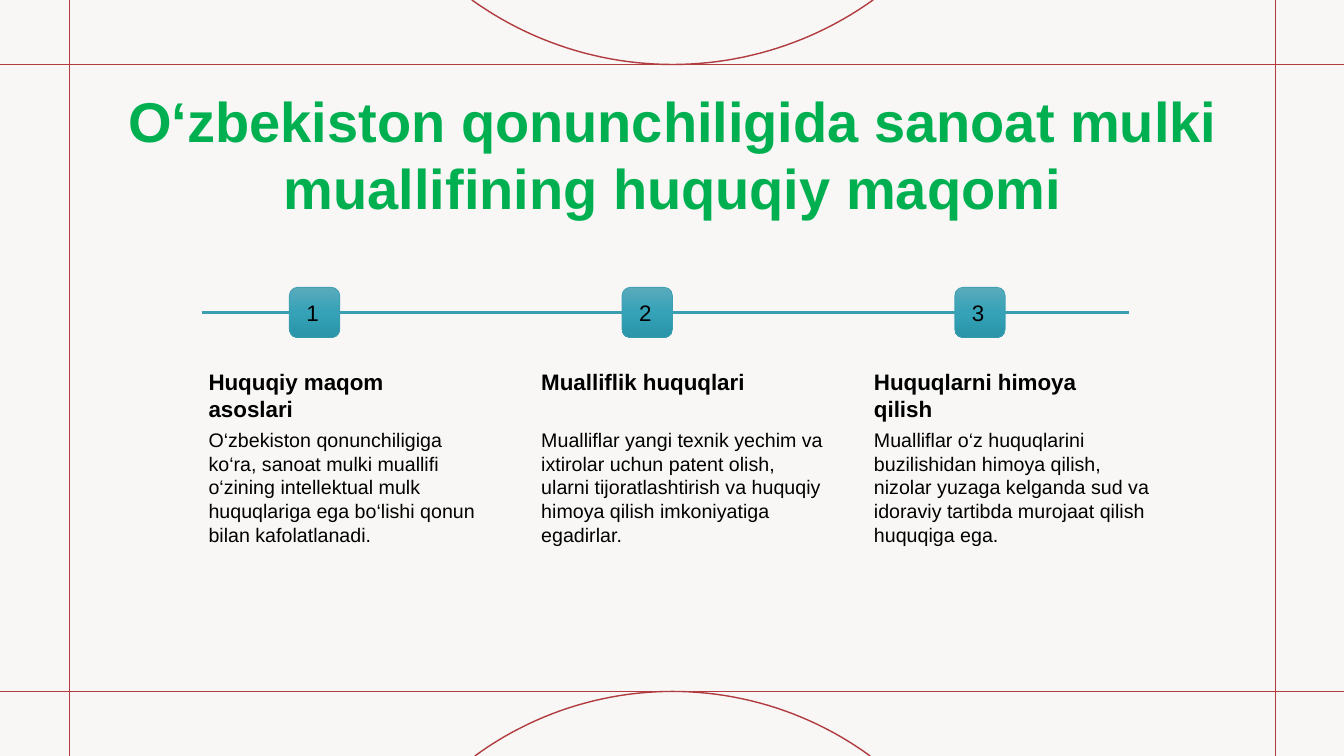
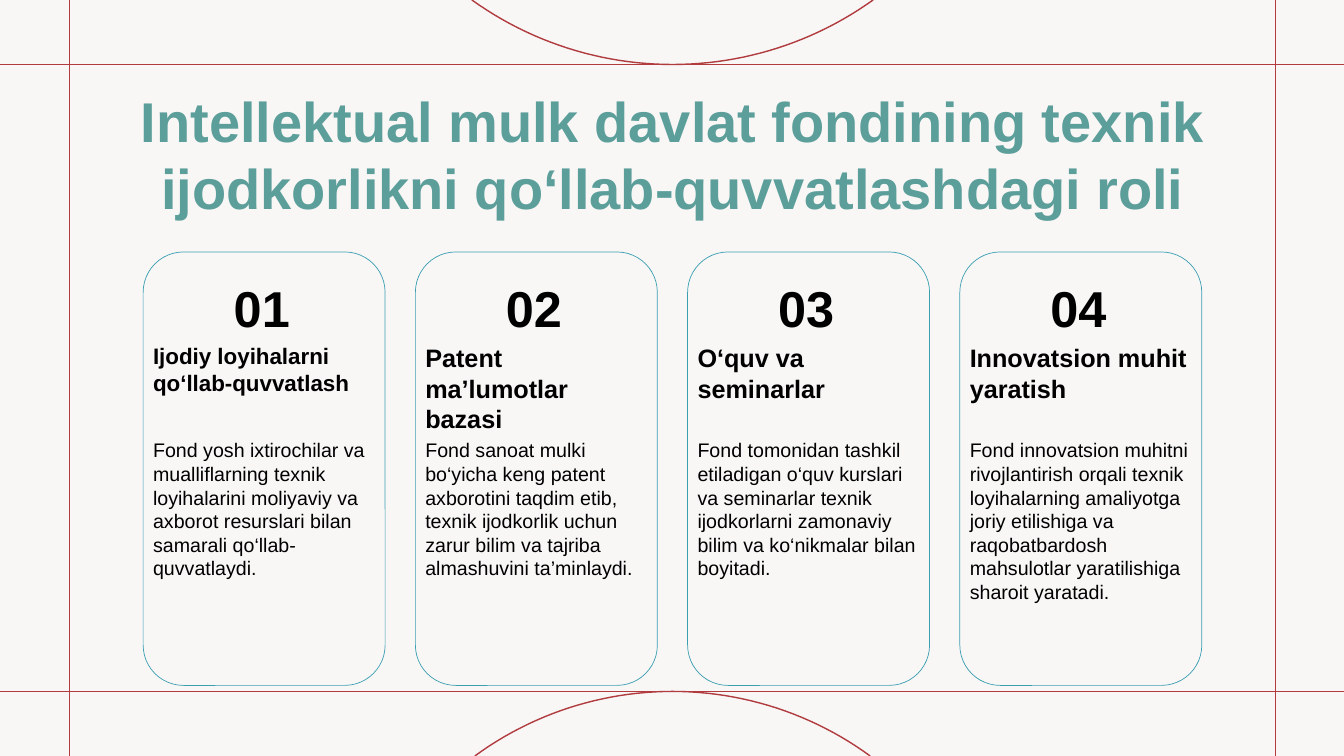
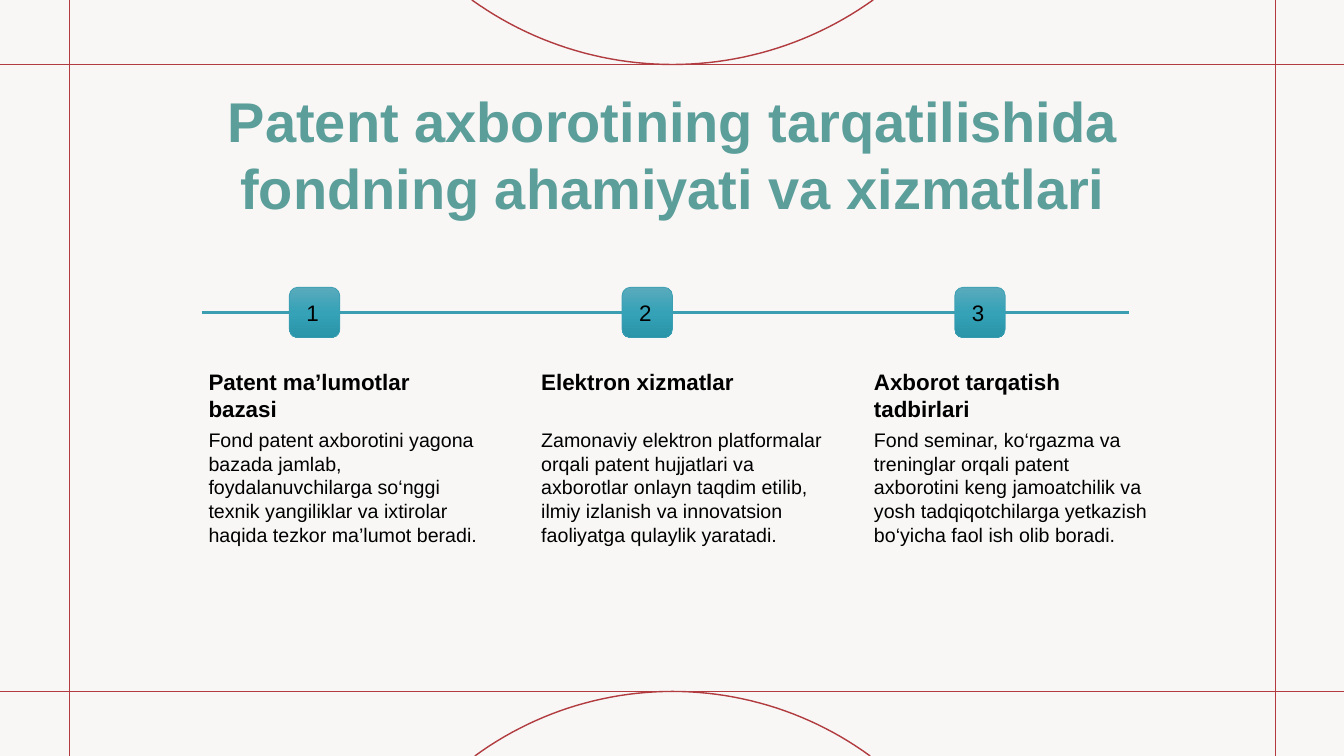
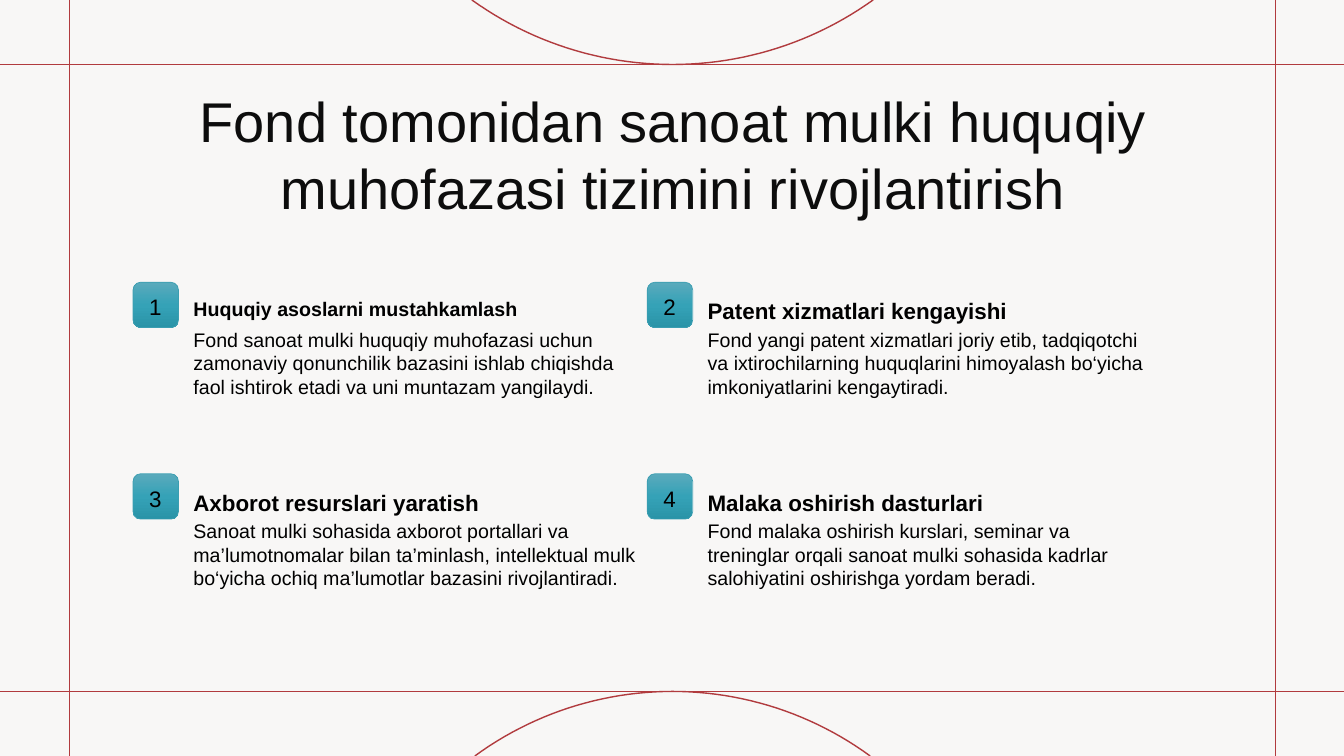
from copy import deepcopy
from math import asin, cos, sin

from pptx import Presentation
from pptx.dml.color import RGBColor
from pptx.enum.shapes import MSO_CONNECTOR, MSO_SHAPE
from pptx.enum.text import MSO_ANCHOR, MSO_AUTO_SIZE, PP_ALIGN
from pptx.oxml.ns import qn
from pptx.util import Pt
from lxml import etree

PX = 9144  # 100 px to the inch
WIDE, HIGH = 1333, 750
ROUND = MSO_SHAPE.ROUNDED_RECTANGLE
STRAIGHT = MSO_CONNECTOR.STRAIGHT
GROW, FIXED = MSO_AUTO_SIZE.SHAPE_TO_FIT_TEXT, MSO_AUTO_SIZE.NONE
CENTER, MIDDLE = PP_ALIGN.CENTER, MSO_ANCHOR.MIDDLE

PAPER, RED, TEAL = "F8F7F6", "B13B3E", "3B9EB1"
GREEN, SAGE, INK, BLACK = "00B050", "5B9E9A", "0D0D0D", "000000"
SHADES = [(0, "5AAABC"), (0.5, "35A2B7"), (1, "2A94A8")]

LABEL = {"size": Pt(16)}
HEAD = {"size": Pt(16), "bold": True}
SMALL = {"size": Pt(14), "bold": True}
LARGE = {"size": Pt(18), "bold": True}
BODY = {"size": Pt(14)}
COUNT = {"size": Pt(36), "bold": True}


def color(code):
    return RGBColor.from_string(code)


def scale(*sizes):
    return [round(size * PX) for size in sizes]


class Deck:
    def __init__(self):
        self.prs = Presentation()
        self.prs.slide_width, self.prs.slide_height = scale(WIDE, HIGH)
        self.layout = self.prs.slide_layouts[5]
        fill = self.layout.background.fill
        fill.solid()
        fill.fore_color.rgb = color(PAPER)
        title = self.layout.placeholders[0]
        title.left, title.top, title.width, title.height = scale(92, 80, 1150, 145)
        self.slide = None

    def font(self, para, look, shade=BLACK):
        for key, value in {"name": "Arial", **look}.items():
            setattr(para.font, key, value)
        para.font.color.rgb = color(shade)

    def start(self, text, shade, bold=True):
        """Add a slide and fill its title."""
        self.slide = self.prs.slides.add_slide(self.layout)
        frame = self.slide.shapes.title.text_frame
        frame.text = text
        frame.auto_size, frame.vertical_anchor = FIXED, MIDDLE
        para = frame.paragraphs[0]
        para.alignment = CENTER
        self.font(para, {"size": Pt(40), "bold": bold}, shade)

    def text(self, x, y, w, h, words, look):
        frame = self.slide.shapes.add_textbox(*scale(x, y, w, h)).text_frame
        frame.word_wrap = True
        frame.auto_size = GROW
        frame.text = words
        self.font(frame.paragraphs[0], look)

    def stroke(self, shape, shade, width):
        shape.line.color.rgb = color(shade)
        shape.line.width = Pt(width)

    def line(self, x1, y1, x2, y2, shade, width):
        rule = self.slide.shapes.add_connector(STRAIGHT, *scale(x1, y1, x2, y2))
        self.stroke(rule, shade, width)
        etree.SubElement(rule.element.spPr, qn("a:effectLst"))
        return rule

    def box(self, x, y, w, h):
        """Add an unfilled rounded box with a thin teal outline."""
        shape = self.slide.shapes.add_shape(ROUND, *scale(x, y, w, h))
        shape.shadow.inherit = False
        shape.fill.background()
        self.stroke(shape, TEAL, 0.5)
        return shape

    def badge(self, x, y, side, num):
        """Add a shaded square with a number on it."""
        shape = self.box(x, y, side, side)
        shape.fill.gradient()
        shape.fill.gradient_angle = 270
        stops = shape.element.spPr.find(".//" + qn("a:gsLst"))
        stops.append(deepcopy(stops[0]))
        for stop, (place, shade) in zip(shape.fill.gradient_stops, SHADES):
            stop.position = place
            stop.color.rgb = color(shade)
        inset, size = side // 7, side * 7 // 10
        self.text(x + inset, y + inset, size, size, str(num), LABEL)

    def arc(self, half, top, sign):
        """Add a circle arc that touches a rule at top and ends at the slide edge."""
        mid, rise, steps = 667, 64, 48
        radius = (half**2 + rise**2) / (2 * rise)
        reach = asin(half / radius)
        turns = [reach * (2 * i / steps - 1) for i in range(steps + 1)]
        points = [scale(mid + radius * sin(t), top + sign * radius * (1 - cos(t)))
                  for t in turns]
        pen = self.slide.shapes.build_freeform(*points[0], scale=1)
        pen.add_line_segments(points[1:], close=False)
        shape = pen.convert_to_shape()
        shape.shadow.inherit = False
        shape.fill.background()
        self.stroke(shape, RED, 1)
        return shape

    def frame(self):
        """Draw the red rules and arcs, then hand them to the shared layout."""
        parts = [self.line(0, y, WIDE, y, RED, 1) for y in (686, 64)]
        parts += [self.line(x, HIGH, x, 0, RED, 1) for x in (1265, 69)]
        parts += [self.arc(199, 64, -1), self.arc(196, 686, 1)]
        for part in parts:
            self.layout.shapes.element.append(part.element)

    def steps(self, items):
        """Add a timeline of numbered columns."""
        self.line(200, 310, 1120, 310, TEAL, 2)
        for i, (head, body) in enumerate(items):
            x = 197 + 330 * i
            self.badge(x + 90, 285, 50, i + 1)
            self.text(x, 360, 270, 30, head, HEAD)
            self.text(x, 420, 300, 200, body, BODY)

    def cards(self, items):
        for i, (head, body, look) in enumerate(items):
            x = 142 + 270 * i
            self.box(x, 250, 240, 430)
            self.text(x + 80, 270, 240, 100, f"{i + 1:02}", COUNT)
            self.text(x, 335, 240, 50, head, look)
            self.text(x, 430, 240, 300, body, BODY)

    def grid(self, items):
        """Add numbered points in two columns."""
        for i, (head, body, look) in enumerate(items):
            x, y = 132 + 510 * (i % 2), 280 + 190 * (i // 2)
            self.badge(x, y, 45, i + 1)
            self.text(x + 50, y + 10, 460, 30, head, look)
            self.text(x + 50, y + 40, 460, 110, body, BODY)


def main():
    deck = Deck()

    deck.start("O‘zbekiston qonunchiligida sanoat mulki muallifining huquqiy maqomi", GREEN)
    deck.steps([
        ("Huquqiy maqom asoslari",
         "O‘zbekiston qonunchiligiga ko‘ra, sanoat mulki muallifi o‘zining intellektual "
         "mulk huquqlariga ega bo‘lishi qonun bilan kafolatlanadi."),
        ("Mualliflik huquqlari",
         "Mualliflar yangi texnik yechim va ixtirolar uchun patent olish, ularni "
         "tijoratlashtirish va huquqiy himoya qilish imkoniyatiga egadirlar."),
        ("Huquqlarni himoya qilish",
         "Mualliflar o‘z huquqlarini buzilishidan himoya qilish, nizolar yuzaga kelganda "
         "sud va idoraviy tartibda murojaat qilish huquqiga ega."),
    ])

    deck.start("Intellektual mulk davlat fondining texnik ijodkorlikni "
               "qo‘llab-quvvatlashdagi roli", SAGE)
    deck.cards([
        ("Ijodiy loyihalarni qo‘llab-quvvatlash",
         "Fond yosh ixtirochilar va mualliflarning texnik loyihalarini moliyaviy va "
         "axborot resurslari bilan samarali qo‘llab-quvvatlaydi.", HEAD),
        ("Patent ma’lumotlar bazasi",
         "Fond sanoat mulki bo‘yicha keng patent axborotini taqdim etib, texnik "
         "ijodkorlik uchun zarur bilim va tajriba almashuvini ta’minlaydi.", LARGE),
        ("O‘quv va seminarlar",
         "Fond tomonidan tashkil etiladigan o‘quv kurslari va seminarlar texnik "
         "ijodkorlarni zamonaviy bilim va ko‘nikmalar bilan boyitadi.", LARGE),
        ("Innovatsion muhit yaratish",
         "Fond innovatsion muhitni rivojlantirish orqali texnik loyihalarning amaliyotga "
         "joriy etilishiga va raqobatbardosh mahsulotlar yaratilishiga sharoit yaratadi.",
         LARGE),
    ])

    deck.start("Patent axborotining tarqatilishida fondning ahamiyati va xizmatlari", SAGE)
    deck.steps([
        ("Patent ma’lumotlar bazasi",
         "Fond patent axborotini yagona bazada jamlab, foydalanuvchilarga so‘nggi texnik "
         "yangiliklar va ixtirolar haqida tezkor ma’lumot beradi."),
        ("Elektron xizmatlar",
         "Zamonaviy elektron platformalar orqali patent hujjatlari va axborotlar onlayn "
         "taqdim etilib, ilmiy izlanish va innovatsion faoliyatga qulaylik yaratadi."),
        ("Axborot tarqatish tadbirlari",
         "Fond seminar, ko‘rgazma va treninglar orqali patent axborotini keng jamoatchilik "
         "va yosh tadqiqotchilarga yetkazish bo‘yicha faol ish olib boradi."),
    ])

    deck.start("Fond tomonidan sanoat mulki huquqiy muhofazasi tizimini rivojlantirish",
               INK, bold=False)
    deck.grid([
        ("Huquqiy asoslarni mustahkamlash",
         "Fond sanoat mulki huquqiy muhofazasi uchun zamonaviy qonunchilik bazasini ishlab "
         "chiqishda faol ishtirok etadi va uni muntazam yangilaydi.", SMALL),
        ("Patent xizmatlari kengayishi",
         "Fond yangi patent xizmatlari joriy etib, tadqiqotchi va ixtirochilarning "
         "huquqlarini himoyalash bo‘yicha imkoniyatlarini kengaytiradi.", HEAD),
        ("Axborot resurslari yaratish",
         "Sanoat mulki sohasida axborot portallari va ma’lumotnomalar bilan ta’minlash, "
         "intellektual mulk bo‘yicha ochiq ma’lumotlar bazasini rivojlantiradi.", HEAD),
        ("Malaka oshirish dasturlari",
         "Fond malaka oshirish kurslari, seminar va treninglar orqali sanoat mulki "
         "sohasida kadrlar salohiyatini oshirishga yordam beradi.", HEAD),
    ])

    deck.frame()
    deck.prs.save("out.pptx")


if __name__ == "__main__":
    main()
